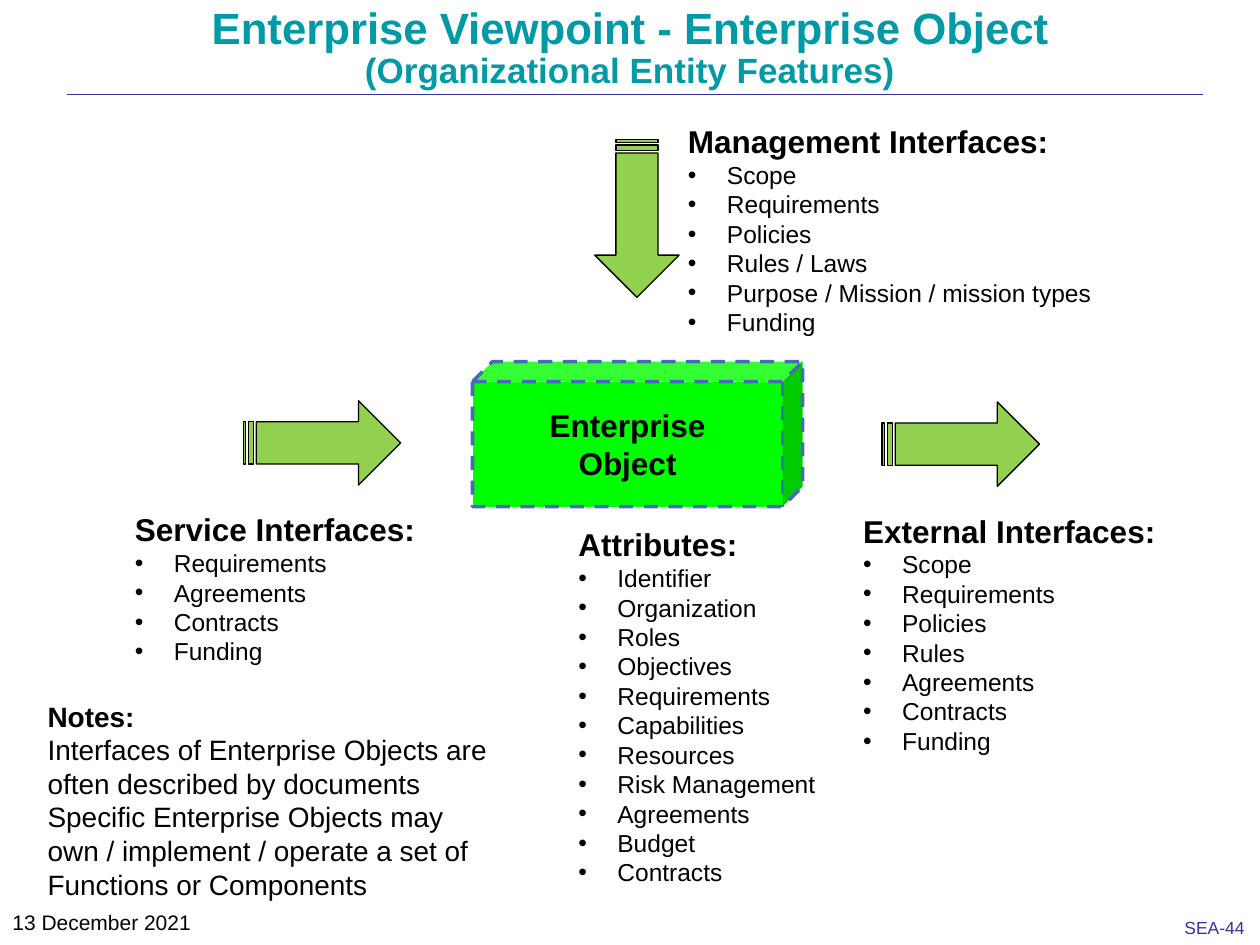
from dataclasses import dataclass

from lxml import etree
from pptx import Presentation
from pptx import util as u
from pptx.dml.color import RGBColor
from pptx.enum import dml, shapes, text
from pptx.oxml.ns import qn


@dataclass(frozen=True)
class Theme:
    font: str = "Arial"
    ink: str = "000000"
    title: str = "0099A6"
    navy: str = "333399"
    arrow: str = "92D050"
    cube: str = "00FF00"
    cube_edge: str = "486ABB"
    title_size: int = 25
    subtitle_size: int = 20
    heading_size: int = 18
    note_size: int = 16
    item_size: int = 14
    date_size: int = 12
    number_size: int = 10


THEME = Theme()
CELL = u.Inches(0.1)  # the slide is a grid of 100 columns by 75 rows
COLUMNS, ROWS = 100, 75
ARROW_SIZE = (12.5, 6.7)

# heading, items, grid place
LISTS = [
    ("Attributes:",
     ["Identifier", "Organization", "Roles", "Objectives", "Requirements",
      "Capabilities", "Resources", "Risk Management", "Agreements", "Budget",
      "Contracts"], (44.9, 41.2, 21.5, 32.3)),
    ("External Interfaces:",
     ["Scope", "Requirements", "Policies", "Rules", "Agreements", "Contracts",
      "Funding"], (67.5, 40.1, 25.4, 18.2)),
    ("Management Interfaces:",
     ["Scope", "Requirements", "Policies", "Rules / Laws",
      "Purpose / Mission / mission types", "Funding"], (53.6, 9.2, 34.2, 18.2)),
    ("Service Interfaces:",
     ["Requirements", "Agreements", "Contracts", "Funding"],
     (9.7, 40, 24.5, 13.5)),
]
NOTES = [
    "Interfaces of Enterprise Objects are often described by documents",
    "Specific Enterprise Objects may own / implement / operate a set of "
    "Functions or Components",
]


def color(value):
    return RGBColor.from_string(value)


def cells(*counts):
    return [u.Emu(round(count * CELL)) for count in counts]


def place(box, at):
    box.left, box.top, box.width, box.height = cells(*at)


def set_bullet(para, shown):
    """Give the paragraph a hanging bullet, or switch an inherited one off."""
    indent = u.Inches(0.31) if shown else 0
    props = para._p.get_or_add_pPr()
    props.set("marL", str(indent))
    props.set("indent", str(-indent))
    if shown:
        etree.SubElement(props, qn("a:buFont")).set("typeface", THEME.font)
        etree.SubElement(props, qn("a:buChar")).set("char", "•")
    else:
        etree.SubElement(props, qn("a:buNone"))


def write(box, words, size, *, tint=THEME.ink, bold=False, align=text.PP_ALIGN.LEFT,
          spacing=1.0, bullet=False):
    """Add one paragraph, using the empty first one when there is one."""
    frame = box.text_frame
    para = frame.paragraphs[0]
    if para.runs:
        para = frame.add_paragraph()
    para.alignment, para.line_spacing = align, spacing
    para.space_before = para.space_after = u.Pt(0)
    set_bullet(para, bullet)
    span = para.add_run()
    span.text = words
    span.font.name, span.font.size, span.font.bold = THEME.font, u.Pt(size), bold
    span.font.color.rgb = color(tint)


def set_frame(box, wrap=True, grow=False, anchor=text.MSO_ANCHOR.TOP):
    frame = box.text_frame
    frame.word_wrap = wrap
    frame.vertical_anchor = anchor
    frame.auto_size = (text.MSO_AUTO_SIZE.SHAPE_TO_FIT_TEXT if grow
                       else text.MSO_AUTO_SIZE.NONE)


def add_text_box(page, at, **frame):
    box = page.shapes.add_textbox(*cells(*at))
    set_frame(box, **frame)
    return box


def fill_title(box):
    place(box, (5, 0, COLUMNS - 10, 4.8))
    set_frame(box)
    style = dict(tint=THEME.title, bold=True, align=text.PP_ALIGN.CENTER, spacing=0.9)
    write(box, "Enterprise Viewpoint - Enterprise Object", THEME.title_size, **style)
    write(box, "(Organizational Entity Features)", THEME.subtitle_size, **style)


def fill_list(box, heading, items, at):
    place(box, at)
    set_frame(box, wrap=False, grow=True)
    write(box, heading, THEME.heading_size, bold=True)
    for item in items:
        write(box, item, THEME.item_size, bullet=True)


def add_block(page, kind, at, fill, edge, weight):
    block = page.shapes.add_shape(kind, *cells(*at))
    block.shadow.inherit = False
    block.fill.solid()
    block.fill.fore_color.rgb = color(fill)
    block.line.color.rgb = color(edge)
    block.line.width = u.Pt(weight)
    return block


def add_arrow(page, left, top, turn=0):
    arrow = add_block(page, shapes.MSO_SHAPE.STRIPED_RIGHT_ARROW,
                      (left, top, *ARROW_SIZE), THEME.arrow, THEME.ink, 0.75)
    arrow.rotation = turn


def add_cube(page):
    cube = add_block(page, shapes.MSO_SHAPE.CUBE, (37.5, 28.7, 26.2, 11.5),
                     THEME.cube, THEME.cube_edge, 2)
    cube.adjustments[0] = 0.138
    cube.line.dash_style = dml.MSO_LINE.DASH
    set_frame(cube, anchor=text.MSO_ANCHOR.MIDDLE)
    for word in ("Enterprise", "Object"):
        write(cube, word, THEME.heading_size, bold=True, align=text.PP_ALIGN.CENTER)


def add_rule(page):
    rule = page.shapes.add_connector(shapes.MSO_CONNECTOR.STRAIGHT,
                                     *cells(5.3, 7.5, 95.5, 7.5))
    rule.line.color.rgb = color(THEME.navy)
    rule.line.width = u.Pt(0.13)
    etree.SubElement(rule._element.spPr, qn("a:effectLst"))


def add_notes_text(page):
    box = add_text_box(page, (2.8, 55, 39, 17.2), grow=True)
    write(box, "Notes:", THEME.note_size, bold=True)
    for note in NOTES:
        write(box, note, THEME.note_size)


def add_footer(page):
    number = add_text_box(page, (93.1, 72.4, 6.8, 2.6), wrap=False, grow=True)
    frame = number.text_frame
    frame.margin_left = frame.margin_right = u.Inches(0.09)
    frame.margin_top = frame.margin_bottom = u.Inches(0.04)
    write(number, "SEA-44", THEME.number_size, tint=THEME.navy)
    date = add_text_box(page, (0, 71.7, 20.8, 5))
    write(date, "13 December 2021", THEME.date_size)


def main():
    deck = Presentation()
    deck.slide_width, deck.slide_height = cells(COLUMNS, ROWS)
    page = deck.slides.add_slide(deck.slide_layouts.get_by_name("Comparison"))
    title, *bodies = page.placeholders
    add_rule(page)
    add_footer(page)
    fill_title(title)
    for body, (heading, items, at) in zip(bodies, LISTS):
        fill_list(body, heading, items, at)
    add_cube(page)
    add_notes_text(page)
    add_arrow(page, 44.3, 14, turn=90)
    add_arrow(page, 19.3, 31.8)
    add_arrow(page, 70, 31.9)
    deck.save("out.pptx")


if __name__ == "__main__":
    main()
